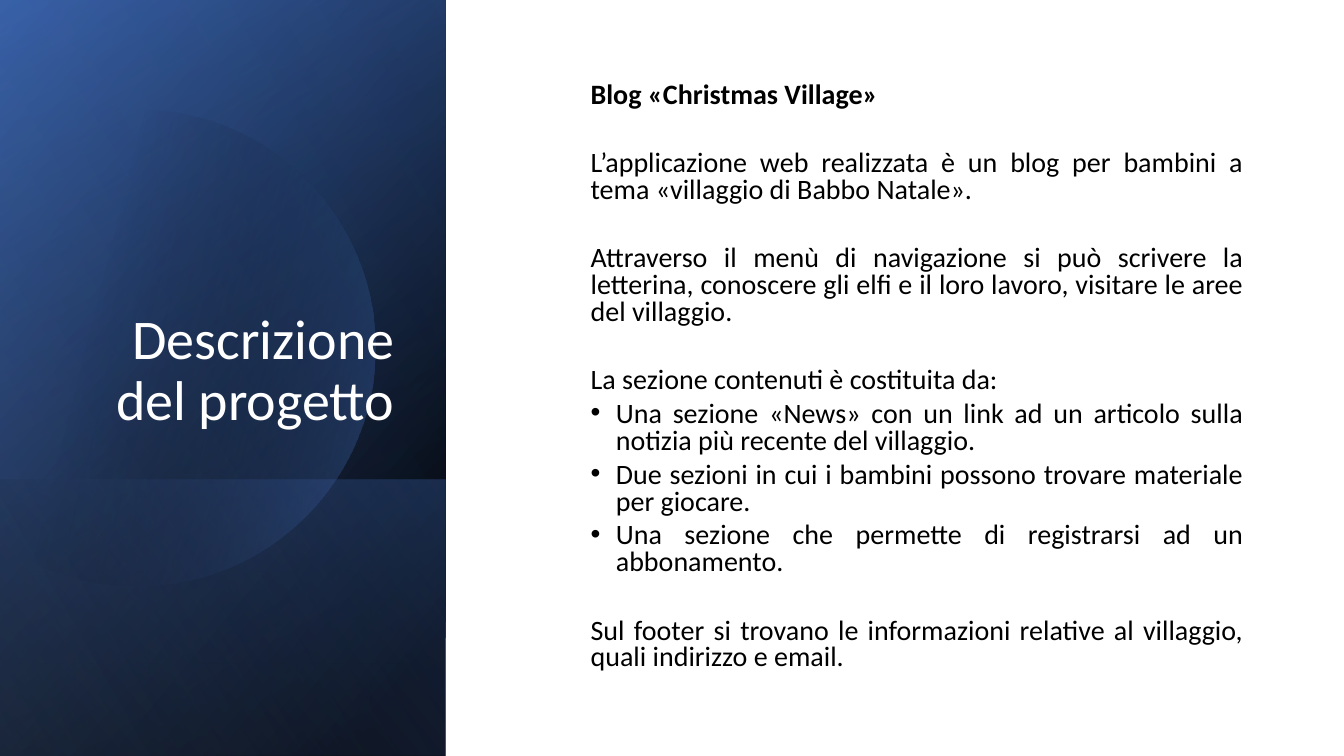
from dataclasses import dataclass
from math import acos, cos, sin

from lxml import etree
from pptx import Presentation
from pptx.dml.color import RGBColor
from pptx.enum.shapes import MSO_SHAPE
from pptx.enum.text import MSO_ANCHOR, PP_ALIGN
from pptx.oxml.ns import qn
from pptx.util import Inches, Pt

RECT = MSO_SHAPE.RECTANGLE
BOTTOM, MIDDLE = MSO_ANCHOR.BOTTOM, MSO_ANCHOR.MIDDLE
LEFT, RIGHT, JUSTIFY = PP_ALIGN.LEFT, PP_ALIGN.RIGHT, PP_ALIGN.JUSTIFY


@dataclass(frozen=True)
class Theme:
    font: str = "Calibri"
    title: int = 40
    body: int = 20
    white: str = "FFFFFF"
    black: str = "000000"
    navy: str = "2F5597"
    blue: str = "4472C4"
    pale: str = "8FAADC"


THEME = Theme()
TIGHT, WIDE = 5, 29.5  # space before a paragraph, in points

# Each entry: text, kind, space before
BODY = [
    ("Blog «Christmas Village»", "head", 0),
    ("L’applicazione web realizzata è un blog per bambini a tema "
     "«villaggio di Babbo Natale».", "text", WIDE),
    ("Attraverso il menù di navigazione si può scrivere la letterina, "
     "conoscere gli elfi e il loro lavoro, visitare le aree del villaggio.",
     "text", WIDE),
    ("La sezione contenuti è costituita da:", "text", WIDE),
    ("Una sezione «News» con un link ad un articolo sulla notizia più "
     "recente del villaggio.", "item", TIGHT),
    ("Due sezioni in cui i bambini possono trovare materiale per giocare.",
     "item", TIGHT),
    ("Una sezione che permette di registrarsi ad un abbonamento.",
     "item", TIGHT),
    ("Sul footer si trovano le informazioni relative al villaggio, quali "
     "indirizzo e email.", "text", WIDE),
]


def shade(shape, stops, angle):
    """Fill with (position, colour, opacity) stops; angle runs clockwise."""
    shape.shadow.inherit = False
    shape.line.fill.background()
    shape.fill.gradient()
    shape.fill.gradient_angle = 360 - angle
    for stop, (pos, color, _) in zip(shape.fill.gradient_stops, stops):
        stop.position = pos / 100
        stop.color.rgb = RGBColor.from_string(color)
    marks = shape._element.spPr.iter(qn("a:srgbClr"))
    for mark, (_, _, alpha) in zip(marks, stops):
        if alpha < 100:
            etree.SubElement(mark, qn("a:alpha"), val=str(alpha * 1000))


def add_disc(slide, x, y, radius, edge):
    """Draw a circle around x, y, cut off at the left edge."""
    reach = acos((edge - x) / radius)
    steps = 90
    turns = [reach * (2 * i / steps - 1) for i in range(steps + 1)]
    dots = [(Inches(x + radius * cos(t)), Inches(y + radius * sin(t)))
            for t in turns]
    pen = slide.shapes.build_freeform(*dots[0])
    pen.add_line_segments(dots[1:], close=True)
    return pen.convert_to_shape()


def add_panel(slide, x, y, w, h):
    def band(top, stops, angle):
        shape = slide.shapes.add_shape(
            RECT, Inches(x), Inches(y + top), Inches(w), Inches(h - top))
        shade(shape, stops, angle)

    # Base colour and glow
    band(0, [(8, THEME.black, 100), (100, THEME.navy, 100)], 220)
    band(0, [(0, THEME.black, 0), (99, THEME.blue, 46)], 240)
    # Lower strip
    band(4.76, [(2, THEME.blue, 29), (100, THEME.black, 30)], 140)
    # Disc
    disc = add_disc(slide, x + 1.36, y + 3.45, 2.36, x)
    shade(disc, [(29, THEME.black, 0), (100, THEME.blue, 43)], 14)
    # Light veil
    band(0, [(0, THEME.black, 0), (99, THEME.pale, 11)], 150)


def add_box(slide, x, y, w, h, anchor):
    box = slide.shapes.add_textbox(Inches(x), Inches(y), Inches(w), Inches(h))
    frame = box.text_frame
    frame.word_wrap = True
    frame.vertical_anchor = anchor
    return frame


def style(para, size, color, bold=False):
    font = para.font
    font.name, font.size, font.bold = THEME.font, Pt(size), bold
    font.color.rgb = RGBColor.from_string(color)
    for run in para.runs:
        run.font.name, run.font.size, run.font.bold = font.name, font.size, bold
        run.font.color.rgb = font.color.rgb


def add_title(slide, x, y, w, h):
    para = add_box(slide, x, y, w, h, BOTTOM).paragraphs[0]
    para.text = "Descrizione del progetto"
    para.alignment = RIGHT
    para.line_spacing = 0.9
    style(para, THEME.title, THEME.white)


def add_body(slide, x, y, w, h):
    frame = add_box(slide, x, y, w, h, MIDDLE)
    for i, (text, kind, gap) in enumerate(BODY):
        para = frame.add_paragraph() if i else frame.paragraphs[0]
        para.text = text
        para.alignment = LEFT if kind == "head" else JUSTIFY
        para.line_spacing = 0.8
        if gap:
            para.space_before = Pt(gap)
        # Indents and bullets
        item = kind == "item"
        props = para._p.get_or_add_pPr()
        props.set("marL", str(Inches(0.75 if item else 0.5)))
        props.set("indent", str(Inches(-0.25 if item else 0)))
        if item:
            etree.SubElement(props, qn("a:buFont"), typeface="Arial")
            etree.SubElement(props, qn("a:buChar"), char="•")
        style(para, THEME.body, THEME.black, kind == "head")


def main():
    deck = Presentation()
    deck.slide_width, deck.slide_height = Inches(13.33), Inches(7.5)
    slide = deck.slides.add_slide(deck.slide_layouts[6])
    back = slide.background.fill
    back.solid()
    back.fore_color.rgb = RGBColor.from_string(THEME.white)
    add_panel(slide, 0, 0, 4.42, 7.5)
    add_title(slide, 0.51, 0.64, 3.5, 3.7)
    add_body(slide, 5.26, 0.71, 7.17, 6.07)
    deck.save("out.pptx")


if __name__ == "__main__":
    main()
